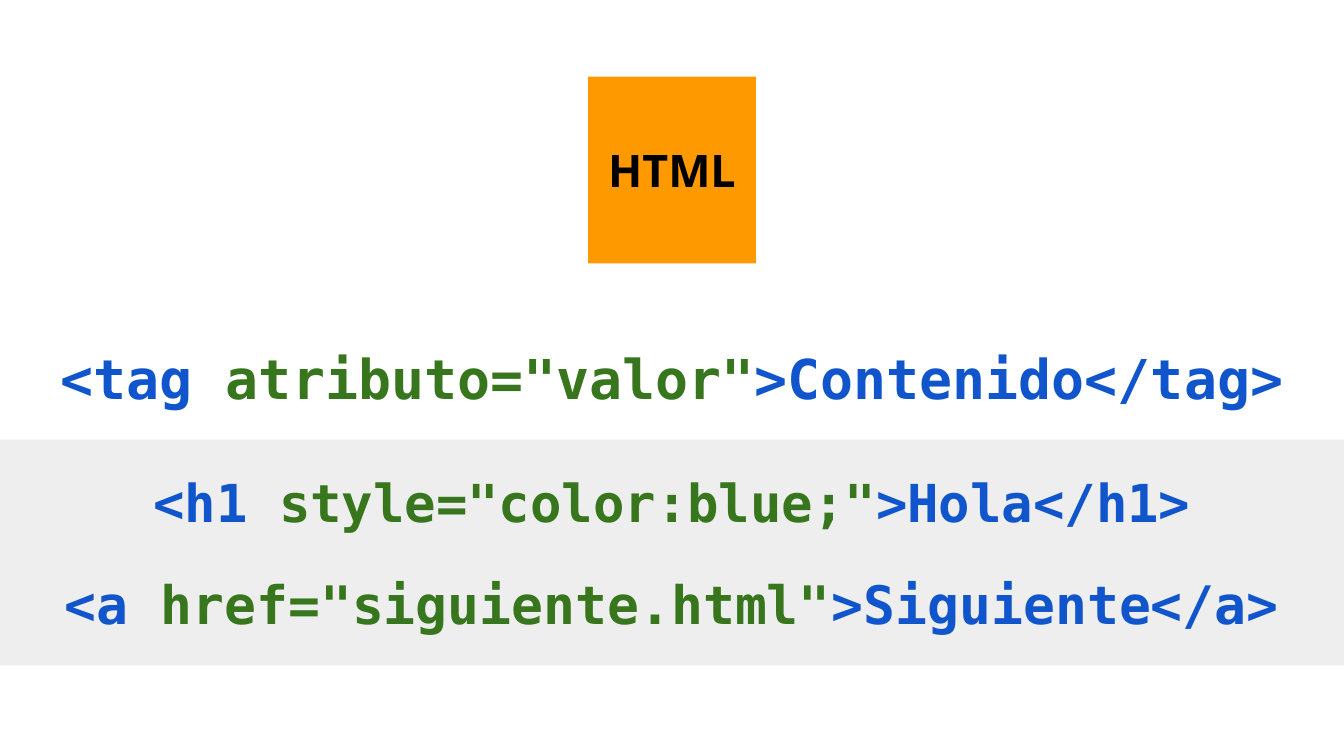
from pptx import Presentation
from pptx.dml.color import RGBColor
from pptx.enum.shapes import MSO_SHAPE
from pptx.enum.text import MSO_ANCHOR, MSO_AUTO_SIZE, PP_ALIGN
from pptx.util import Cm, Pt

BLUE = RGBColor(0x11, 0x55, 0xCC)
GREEN = RGBColor(0x38, 0x76, 0x1D)
GREY = RGBColor(0xEE, 0xEE, 0xEE)
ORANGE = RGBColor(0xFF, 0x99, 0x00)
BLACK = RGBColor(0x00, 0x00, 0x00)

CODE_FONT = "DejaVu Sans Mono"
LABEL_FONT = "Open Sans"
SLIDE_WIDTH, SLIDE_HEIGHT = 25.4, 14.29
LINE_HEIGHT = 2.34

# Runs of each code line: opening tag, attribute, content and closing tag
SYNTAX = ["<tag ", 'atributo="valor"', ">Contenido</tag>"]
EXAMPLES = [
    # top in cm, font size, runs
    (8.31, 28, ["<h1 ", 'style="color:blue;"', ">Hola</h1>"]),
    (10.24, 28.4, ["<a ", 'href="siguiente.html"', ">Siguiente</a>"]),
]
RUN_COLORS = [BLUE, GREEN, BLUE]


def place_centered(shape, top, width, height):
    shape.left = Cm((SLIDE_WIDTH - width) / 2)
    shape.top = Cm(top)
    shape.width, shape.height = Cm(width), Cm(height)


def add_rectangle(slide, top, width, height, color):
    shape = slide.shapes.add_shape(MSO_SHAPE.RECTANGLE, 0, 0, 0, 0)
    place_centered(shape, top, width, height)
    shape.shadow.inherit = False
    shape.fill.solid()
    shape.fill.fore_color.rgb = color
    shape.line.fill.background()
    return shape


def write_runs(shape, texts, colors, font_name, size):
    """Fill a shape with one centred bold line of coloured runs."""
    frame = shape.text_frame
    frame.word_wrap = True
    frame.auto_size = MSO_AUTO_SIZE.NONE
    frame.vertical_anchor = MSO_ANCHOR.MIDDLE
    frame.margin_left = frame.margin_right = Cm(0.25)
    frame.margin_top = frame.margin_bottom = Cm(0.25)
    paragraph = frame.paragraphs[0]
    paragraph.alignment = PP_ALIGN.CENTER
    for text, color in zip(texts, colors):
        run = paragraph.add_run()
        run.text = text
        run.font.name = font_name
        run.font.size = Pt(size)
        run.font.bold = True
        run.font.color.rgb = color


def main():
    presentation = Presentation()
    presentation.slide_width = Cm(SLIDE_WIDTH)
    presentation.slide_height = Cm(SLIDE_HEIGHT)
    slide = presentation.slides.add_slide(presentation.slide_layouts[5])

    title = slide.shapes.title
    place_centered(title, 5.97, 23.68, LINE_HEIGHT)
    write_runs(title, SYNTAX, RUN_COLORS, CODE_FONT, 29.4)

    for top, size, texts in EXAMPLES:
        band = add_rectangle(slide, top, SLIDE_WIDTH, LINE_HEIGHT, GREY)
        write_runs(band, texts, RUN_COLORS, CODE_FONT, size)

    badge = add_rectangle(slide, 1.45, 3.17, 3.53, ORANGE)
    write_runs(badge, ["HTML"], [BLACK], LABEL_FONT, 24)

    presentation.save("out.pptx")


if __name__ == "__main__":
    main()
